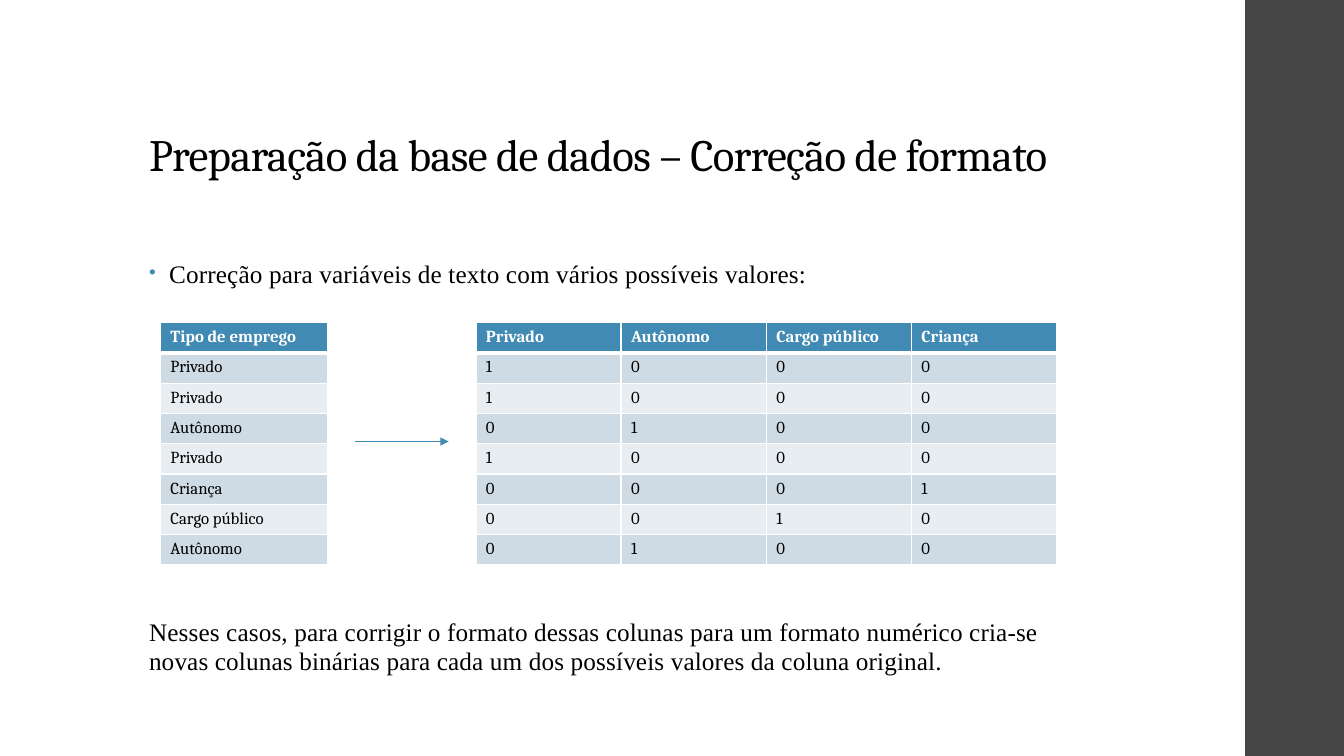
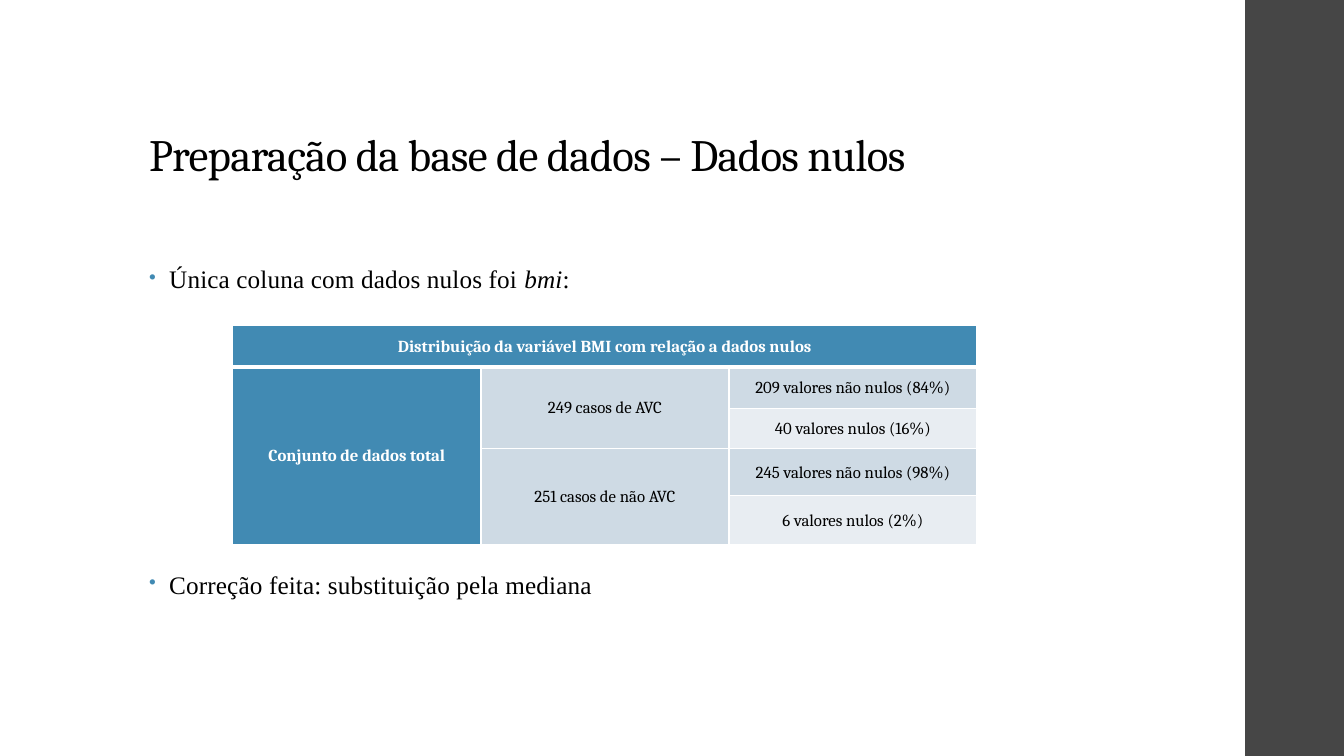
from dataclasses import dataclass

from lxml.etree import SubElement
from pptx import Presentation
from pptx.dml.color import RGBColor
from pptx.enum.shapes import MSO_CONNECTOR as CONN, MSO_SHAPE as SHAPE
from pptx.enum.text import MSO_ANCHOR as ANCHOR, PP_ALIGN as ALIGN
from pptx.oxml.ns import qn
from pptx.util import Inches, Pt

# Shared style
ACCENT, BAR, BLACK, WHITE = "418AB3", "464646", "000000", "FFFFFF"
BANDS = ("E8EDF2", "CEDAE4")  # even rows, odd rows
HEAD_FONT, BODY_FONT = "Cambria", "Times New Roman"
TEXT_LEFT = 1.38


@dataclass
class TableSpec:
    left: float
    top: float
    widths: list[float]
    heights: list[float]
    rows: list[list[str | None]]
    merges: tuple[tuple[int, int, int, int], ...] = ()
    header_col: bool = False
    centred: bool = False


def rgb(color: str) -> RGBColor:
    return RGBColor.from_string(color)


def add_run(p, text: str, *, size: float = 18, font: str = BODY_FONT,
            color: str = BLACK, bold: bool = False, italic: bool = False,
            spacing: float = 0) -> None:
    r = p.add_run()
    r.text = text
    f = r.font
    f.size, f.name, f.bold, f.italic = Pt(size), font, bold, italic
    f.color.rgb = rgb(color)
    if spacing:
        r._r.get_or_add_rPr().set("spc", str(round(spacing * 100)))


def add_box(s, top: float, width: float, height: float, line: float, anchor=ANCHOR.TOP):
    """Add a text box on the left margin and return its paragraph."""
    box = s.shapes.add_textbox(Inches(TEXT_LEFT), Inches(top), Inches(width), Inches(height))
    tf = box.text_frame
    tf.word_wrap, tf.vertical_anchor = True, anchor
    p = tf.paragraphs[0]
    p.line_spacing = line
    return p


def add_body(s, top: float, *parts: str, bullet: bool = True, height: float = 0.4) -> None:
    """Add body text; every second part is italic."""
    p = add_box(s, top, 9.4, height, 0.95)
    if bullet:
        pPr = p._p.get_or_add_pPr()
        pPr.set("marL", str(Inches(0.2)))
        pPr.set("indent", str(-Inches(0.2)))
        SubElement(SubElement(pPr, qn("a:buClr")), qn("a:srgbClr"), val=ACCENT)
        SubElement(pPr, qn("a:buSzPct"), val="80000")
        SubElement(pPr, qn("a:buChar"), char="•")
    for i, part in enumerate(parts):
        add_run(p, part, italic=i % 2 == 1, spacing=0.1)


def add_border(cell, side: str, width: float) -> None:
    ln = SubElement(cell._tc.get_or_add_tcPr(), qn(f"a:ln{side}"), w=str(Pt(width)))
    SubElement(SubElement(ln, qn("a:solidFill")), qn("a:srgbClr"), val=WHITE)


def add_table(s, spec: TableSpec) -> None:
    table = s.shapes.add_table(
        len(spec.heights), len(spec.widths), Inches(spec.left), Inches(spec.top),
        Inches(sum(spec.widths)), Inches(sum(spec.heights))).table
    for col, width in zip(table.columns, spec.widths):
        col.width = Inches(width)
    for row, height in zip(table.rows, spec.heights):
        row.height = Inches(height)
    for top, left, bottom, right in spec.merges:
        table.cell(top, left).merge(table.cell(bottom, right))
    for i, texts in enumerate(spec.rows):
        for j, text in enumerate(texts):
            cell = table.cell(i, j)
            header = i == 0 or (spec.header_col and j == 0)
            # A thick rule separates the header row from the rest
            for side in "LRTB":
                thick = (i, side) in ((0, "B"), (1, "T"))
                add_border(cell, side, 3 if thick else 0.96)
            cell.fill.solid()
            cell.fill.fore_color.rgb = rgb(ACCENT if header else BANDS[i % 2])
            if text is None:
                continue
            p = cell.text_frame.paragraphs[0]
            if spec.centred:
                cell.vertical_anchor = ANCHOR.MIDDLE
                cell.margin_left = cell.margin_right = Inches(0.07)
                p.alignment, p.line_spacing, p.space_after = ALIGN.CENTER, 1.07, Pt(8)
            add_run(p, text, size=12, font=HEAD_FONT, bold=header,
                    color=WHITE if header else BLACK)


def add_arrow(s, x1: float, x2: float, y: float) -> None:
    arrow = s.shapes.add_connector(CONN.STRAIGHT, Inches(x1), Inches(y), Inches(x2), Inches(y))
    arrow.line.color.rgb, arrow.line.width = rgb(ACCENT), Pt(0.75)
    SubElement(arrow.line._get_or_add_ln(), qn("a:tailEnd"), type="triangle")
    SubElement(arrow._element.spPr, qn("a:effectLst"))


def add_slide(prs, title: str):
    """Add a slide with the side bar and its title."""
    s = prs.slides.add_slide(prs.slide_layouts[6])
    bar = s.shapes.add_shape(SHAPE.RECTANGLE, Inches(12.35), 0, Inches(0.98), prs.slide_height)
    bar.shadow.inherit = False
    bar.fill.solid()
    bar.fill.fore_color.rgb = rgb(BAR)
    bar.line.fill.background()
    p = add_box(s, 0.4, 10.6, 1.45, 0.9, ANCHOR.BOTTOM)
    add_run(p, title, size=32, font=HEAD_FONT, spacing=-0.5)
    return s


def build_format_slide(prs) -> None:
    s = add_slide(prs, "Preparação da base de dados – Correção de formato")
    add_body(s, 2.54, "Correção para variáveis de texto com vários possíveis valores:")

    # Each text value becomes one binary column
    jobs = ["Privado", "Privado", "Autônomo", "Privado", "Criança", "Cargo público", "Autônomo"]
    kinds = ["Privado", "Autônomo", "Cargo público", "Criança"]
    flags = [[str(int(job == kind)) for kind in kinds] for job in jobs]
    heights = [0.27] * (len(jobs) + 1)
    add_table(s, TableSpec(1.59, 3.2, [1.66], heights,
                           [["Tipo de emprego"], *([job] for job in jobs)]))
    add_table(s, TableSpec(4.72, 3.2, [1.44] * len(kinds), heights, [kinds, *flags]))
    add_arrow(s, 3.52, 4.45, 4.38)

    add_body(s, 6.09, "Nesses casos, para corrigir o formato dessas colunas para um formato "
             "numérico cria-se novas colunas binárias para cada um dos possíveis valores "
             "da coluna original.", bullet=False, height=0.65)


def build_nulls_slide(prs) -> None:
    s = add_slide(prs, "Preparação da base de dados – Dados nulos")
    add_body(s, 2.59, "Única coluna com dados nulos foi ", "bmi", ":")
    add_table(s, TableSpec(
        2.31, 3.23, [2.46] * 3, [0.41, 0.41, 0.4, 0.47, 0.48],
        [["Distribuição da variável BMI com relação a dados nulos", None, None],
         ["Conjunto de dados total", "249 casos de AVC", "209 valores não nulos (84%)"],
         [None, None, "40 valores nulos (16%)"],
         [None, "251 casos de não AVC", "245 valores não nulos (98%)"],
         [None, None, "6 valores nulos (2%)"]],
        merges=((0, 0, 0, 2), (1, 0, 4, 0), (1, 1, 2, 1), (3, 1, 4, 1)),
        header_col=True, centred=True))
    add_body(s, 5.62, "Correção feita: substituição pela mediana")


def main() -> None:
    prs = Presentation()
    prs.slide_width, prs.slide_height = Inches(13.33), Inches(7.5)
    build_format_slide(prs)
    build_nulls_slide(prs)
    prs.save("out.pptx")


if __name__ == "__main__":
    main()
